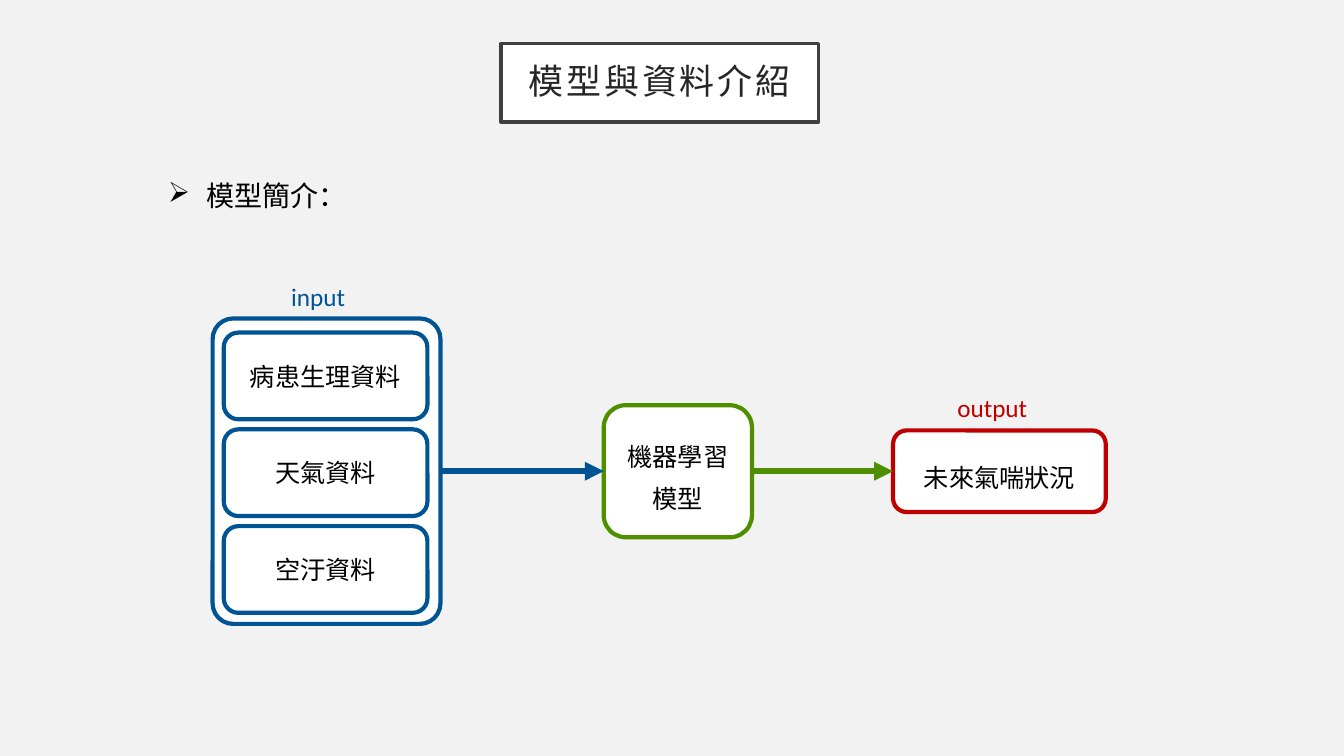
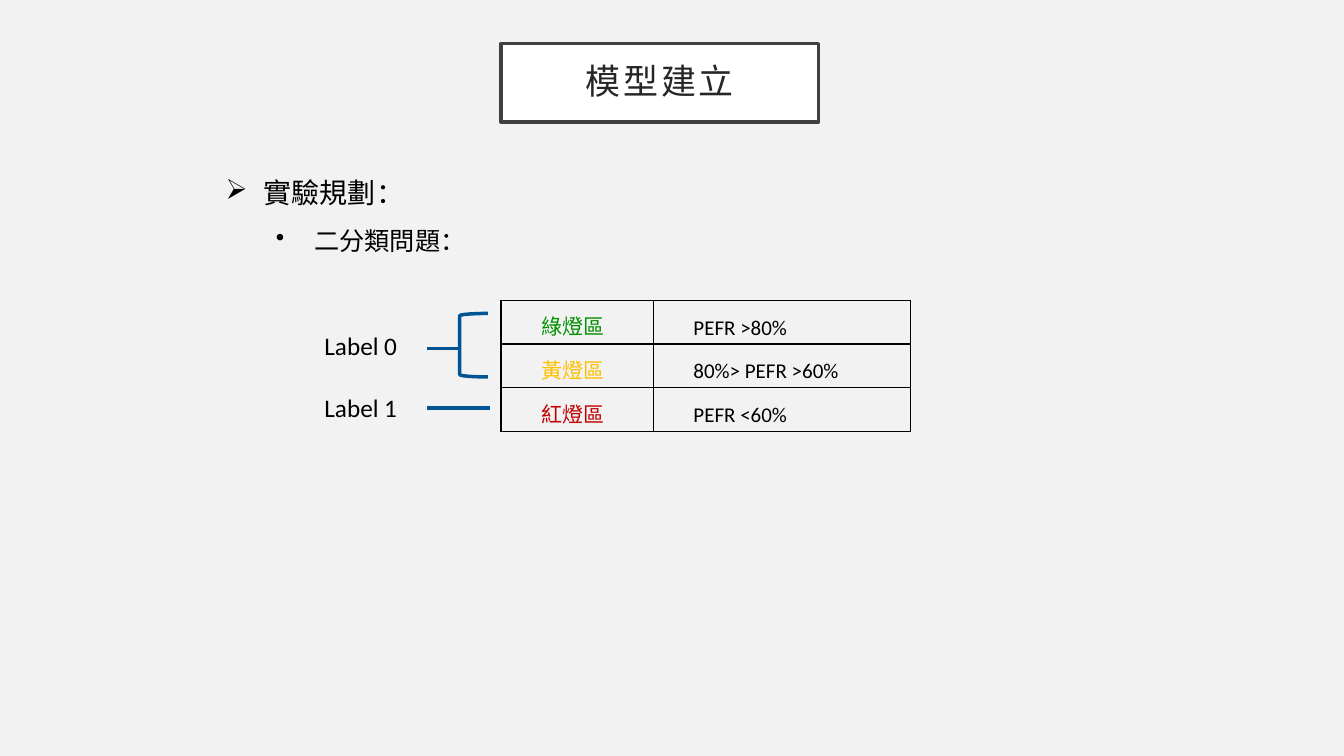
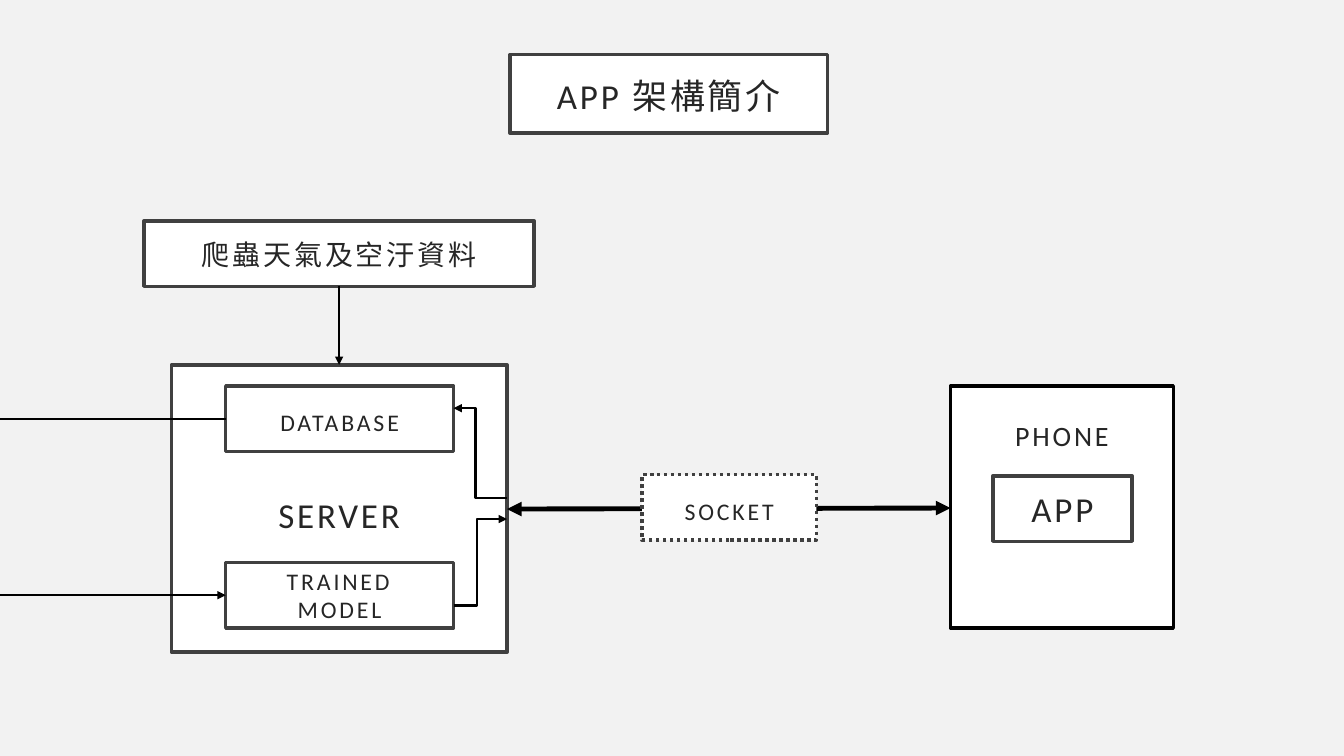
from pptx import Presentation
from pptx import util as u
from pptx.dml.color import RGBColor
from pptx.enum import dml, shapes, text
from pptx.oxml.ns import qn
from lxml import etree

# The slide is a grid of 40 columns by 30 rows; every length counts in those.
WIDE, HIGH = u.Inches(13.333), u.Inches(7.5)
COL, ROW = WIDE / 40, HIGH / 30

FONT = "Calibri"
PAPER, WHITE, BLACK = "F2F2F2", "FFFFFF", "000000"
INK, EDGE = "262626", "404040"
BLUE, GREEN, RED = "005493", "4E8F00", "C00000"
LEAF, AMBER = "008F00", "FFC000"
KIND, LINK = shapes.MSO_SHAPE, shapes.MSO_CONNECTOR
MID, TOP = text.MSO_ANCHOR.MIDDLE, text.MSO_ANCHOR.TOP


def rgb(code):
    return RGBColor.from_string(code)


def emu(box):
    x, y, w, h = box
    return [round(v) for v in (x * COL, y * ROW, w * COL, h * ROW)]


def inner(box, dx, dy, w, h):
    """A box offset from the top left corner of another."""
    return box[0] + dx, box[1] + dy, w, h


def write(par, words, size, color=BLACK, gap=None, space=0):
    """Add one run; gap is the line spacing, space the tracking in points."""
    if gap:
        par.line_spacing = gap
    run = par.add_run()
    run.text = words
    run.font.size, run.font.name = u.Pt(size), FONT
    run.font.color.rgb = rgb(color)
    if space:
        run._r.get_or_add_rPr().set("spc", str(space * 100))


def stroke(line, color, width):
    line.color.rgb, line.width = rgb(color), u.Pt(width)


def shape(page, kind, box, color, width, fill=WHITE):
    item = page.shapes.add_shape(kind, *emu(box))
    item.shadow.inherit = False
    if fill:
        item.fill.solid()
        item.fill.fore_color.rgb = rgb(fill)
    else:
        item.fill.background()
    stroke(item.line, color, width)
    return item


def center(item, words, size, color=BLACK, gap=None, space=0):
    frame = item.text_frame
    frame.word_wrap, frame.vertical_anchor = True, MID
    par = frame.paragraphs[0]
    par.alignment = text.PP_ALIGN.CENTER
    write(par, words, size, color, gap, space)


def card(page, box, color, words=None, gap=None):
    """A rounded white card."""
    item = shape(page, KIND.ROUNDED_RECTANGLE, box, color, 3)
    if words:
        center(item, words, 18, gap=gap)
    return item


def block(page, box, words, size, gap, edge=EDGE):
    """A square white block with tracked text."""
    item = shape(page, KIND.RECTANGLE, box, edge, 2.5)
    frame = item.text_frame
    frame.margin_left = frame.margin_right = u.Inches(0.2)
    frame.margin_top = frame.margin_bottom = u.Inches(0.2)
    center(item, words, size, INK, gap, 2)
    return item


def line(page, start, end, color, width, head=False, tail=False, bend=None):
    """A connector; bend is where an elbow turns, as a share of its width."""
    x, y, p, q = emu((*start, *end))
    kind = LINK.STRAIGHT if bend is None else LINK.ELBOW
    item = page.shapes.add_connector(kind, x, y, p, q)
    stroke(item.line, color, width)
    props = item._element.spPr
    for tag, on in (("a:headEnd", head), ("a:tailEnd", tail)):
        if on:
            etree.SubElement(props.find(qn("a:ln")), qn(tag), type="triangle")
    etree.SubElement(props, qn("a:effectLst"))
    if bend is not None:
        turns = props.find(qn("a:prstGeom")).find(qn("a:avLst"))
        etree.SubElement(turns, qn("a:gd"), name="adj1",
                         fmla=f"val {round(bend * 100000)}")


def note(page, box, words, color=BLACK):
    frame = page.shapes.add_textbox(*emu(box)).text_frame
    frame.word_wrap = True
    write(frame.paragraphs[0], words, 18, color)


def points(page, box, rows):
    """A list; each row is mark, left indent in inches, size, words."""
    frame = page.shapes.add_textbox(*emu(box)).text_frame
    frame.word_wrap = True
    for n, (mark, left, size, words) in enumerate(rows):
        par = frame.add_paragraph() if n else frame.paragraphs[0]
        props = par._p.get_or_add_pPr()
        props.set("marL", str(u.Inches(left)))
        props.set("indent", str(u.Inches(-0.38)))
        etree.SubElement(props, qn("a:buChar"), char=mark)
        write(par, words, size, gap=u.Pt(33))


def start(deck, words, x=14.91, y=1.72, gap=0.9):
    """A new slide with its framed title."""
    page = deck.slides.add_slide(deck.slide_layouts[6])
    block(page, (x, y, 9.45, 3.12), words, 25, gap)
    return page


def inputs(page, box, names):
    frame = card(page, box, BLUE)
    frame.adjustments[0] = 0.09
    for n, name in enumerate(names):
        card(page, inner(box, 0.33, 0.56 + n * 3.84, 6.06, 3.44), BLUE, name)
    note(page, inner(box, 2.04, -1.68, 2.7, 1.6), "input", BLUE)


def flow(deck):
    page = start(deck, "模型與資料介紹")
    points(page, (4.71, 6.4, 5.28, 2.04), [("➢", 0.38, 20, "模型簡介：")])
    data = (6.33, 12.64, 6.78, 12.12)
    model = (17.97, 16.08, 4.41, 5.24)
    result = (26.58, 17.08, 6.33, 3.24)
    inputs(page, data, ("病患生理資料", "天氣資料", "空汙資料"))
    card(page, model, GREEN, "機器學習模型", u.Pt(30))
    card(page, result, RED, "未來氣喘狀況", u.Pt(30))
    note(page, inner(result, 1.62, -1.72, 3.12, 1.6), "output", RED)
    y = data[1] + data[3] / 2
    for a, b, color in ((data, model, BLUE), (model, result, GREEN)):
        line(page, (a[0] + a[2], y), (b[0], y), color, 4.5, tail=True)


def border(cell):
    props = cell._tc.get_or_add_tcPr()
    for n, side in enumerate(("lnL", "lnR", "lnT", "lnB")):
        edge = etree.Element(qn("a:" + side), w=str(u.Pt(1)))
        fill = etree.SubElement(edge, qn("a:solidFill"))
        etree.SubElement(fill, qn("a:srgbClr"), val=BLACK)
        props.insert(n, edge)


def zones(page, box, rows):
    """The table of zones; each row is name, colour, range."""
    grid = page.shapes.add_table(len(rows), 2, *emu(box)).table
    grid.first_row = grid.horz_banding = False
    for col, width in zip(grid.columns, (4.53, 7.65)):
        col.width = round(width * COL)
    for r, (name, color, span) in enumerate(rows):
        grid.rows[r].height = round(box[3] * ROW / len(rows))
        for c, (words, tint) in enumerate(((name, color), (span, BLACK))):
            cell = grid.cell(r, c)
            cell.margin_left = cell.margin_right = u.Inches(0.07)
            cell.margin_top = cell.margin_bottom = 0
            cell.fill.background()
            border(cell)
            par = cell.text_frame.paragraphs[0]
            par._p.get_or_add_pPr().set("marL", str(u.Inches(0.33)))
            write(par, words, 15, tint, u.Pt(29))


def labels(page, box):
    """Class labels to the left of the table in box."""
    x, y = box[:2]
    shape(page, KIND.LEFT_BRACKET, inner(box, -1.23, 0.52, 0.84, 2.52),
          BLUE, 2.5, None)
    for n, (dy, mark, end) in enumerate(((1, 1.92, -1.2), (3.44, 4.28, -0.33))):
        note(page, inner(box, -5.55, dy, 3.33, 1.6), f"Label {n}")
        line(page, (x - 2.19, y + mark), (x + end, y + mark), BLUE, 2.5)


def plan(deck):
    page = start(deck, "模型建立")
    points(page, (4.92, 6.28, 29.49, 4.4),
           [("➢", 0.88, 20, "實驗規劃："), ("•", 1.38, 18, "二分類問題：")])
    box = (14.91, 11.92, 12.18, 5.2)
    zones(page, box, [("綠燈區", LEAF, "PEFR >80%"),
                      ("黃燈區", AMBER, "80%> PEFR >60%"),
                      ("紅燈區", RED, "PEFR <60%")])
    labels(page, box)


def server(page, box):
    x, y, w, h = box
    block(page, box, "SERVER", 25, u.Pt(38))
    store = inner(box, 1.62, 0.84, 6.78, 2.6)
    model = inner(box, 1.62, 7.84, 6.78, 2.6)
    block(page, store, "DATABASE", 17, u.Pt(25))
    block(page, model, "TRAINED MODEL", 17, u.Pt(20))
    for part, tip in ((store, False), (model, True)):
        mid = part[1] + part[3] / 2
        line(page, (0, mid), (part[0], mid), BLACK, 1.75, tail=tip)
    side = store[0] + store[2]
    line(page, (side, y + 9.56), (x + w, y + 6.12), BLACK, 1.75,
         tail=True, bend=0.44)
    line(page, (x + w, y + 5.28), (side, y + 1.72), BLACK, 1.75,
         tail=True, bend=0.59)


def phone(page, box):
    item = block(page, box, "PHONE", 20, u.Pt(33), BLACK)
    item.text_frame.vertical_anchor = TOP
    block(page, inner(box, 1.26, 3.56, 4.14, 2.6), "APP", 25, u.Pt(30))


def system(deck):
    page = start(deck, "APP 架構簡介", 15.18, 2.16, u.Pt(33))
    host = (5.1, 14.48, 9.99, 11.4)
    hand = (28.29, 15.32, 6.63, 9.6)
    feed = (4.29, 8.76, 11.61, 2.6)
    server(page, host)
    block(page, feed, "爬蟲天氣及空汙資料", 20, u.Pt(25))
    x = feed[0] + feed[2] / 2
    line(page, (x, feed[1] + feed[3]), (x, host[1]), BLACK, 1.75, tail=True)
    phone(page, hand)
    line(page, (host[0] + host[2], 20.2), (hand[0], 20.16), BLACK, 3.5,
         head=True, tail=True)
    plug = block(page, (19.11, 18.84, 5.19, 2.6), "SOCKET", 17, u.Pt(25))
    plug.line.dash_style = dml.MSO_LINE.ROUND_DOT


def main():
    deck = Presentation()
    deck.slide_width, deck.slide_height = WIDE, HIGH
    back = deck.slide_master.background.fill
    back.solid()
    back.fore_color.rgb = rgb(PAPER)
    for build in (flow, plan, system):
        build(deck)
    deck.save("out.pptx")


if __name__ == "__main__":
    main()
